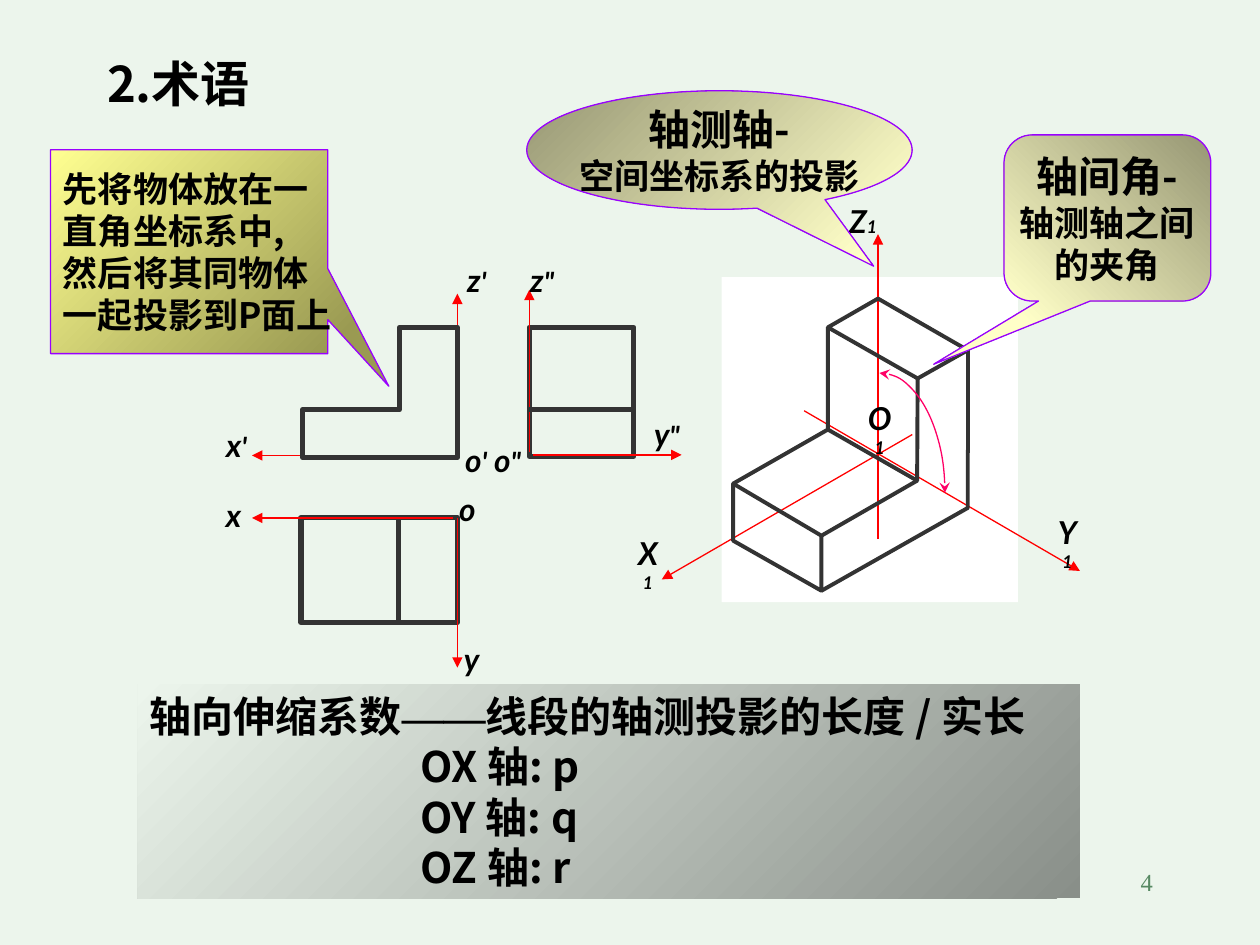
from dataclasses import dataclass

from lxml import etree
from pptx import Presentation
from pptx.dml.color import RGBColor
from pptx.enum.shapes import MSO_CONNECTOR, MSO_SHAPE as Shape
from pptx.enum.text import MSO_ANCHOR as Anchor, PP_ALIGN as Align
from pptx.oxml.ns import qn
from pptx.util import Cm, Pt


@dataclass(frozen=True)
class Theme:
    background: str = "ECF5EC"
    white: str = "FFFFFF"
    text: str = "000000"
    edge: str = "333333"
    axis: str = "FF0000"
    angle: str = "FF0066"
    callout: str = "9900FF"
    number: str = "578963"
    cjk: str = "Noto Sans CJK SC"
    label: str = "Lato"
    serif: str = "Times New Roman"
    title_size: int = 28
    head_size: int = 24
    body_size: int = 20
    label_size: int = 18
    mark_size: int = 16
    number_size: int = 14
    index_size: int = 10


theme = Theme()


def write(shape, lines, align=Align.LEFT, wrap=False, anchor=Anchor.MIDDLE,
          color=theme.text, bold=True, italic=False, leading=None):
    """Fill a shape with lines, each a list of (text, size, font) runs."""
    frame = shape.text_frame
    frame.word_wrap = wrap
    frame.vertical_anchor = anchor
    frame.text = "\n".join("".join(text for text, _, _ in line) for line in lines)
    for paragraph, line in zip(frame.paragraphs, lines):
        paragraph.text = ""
        paragraph.alignment = align
        if leading:
            paragraph.line_spacing = Pt(max(size for _, size, _ in line) * leading)
        for text, size, font in line:
            run = paragraph.add_run()
            run.text = text
            run.font.size = Pt(size)
            run.font.name = font
            run.font.bold = bold
            run.font.italic = italic
            run.font.color.rgb = RGBColor.from_string(color)
            etree.SubElement(run.font._element, qn("a:ea"), typeface=font)


def draw_line(shape, color, width, **ends):
    """Style an outline without shadow; ends maps headEnd/tailEnd to arrow types."""
    shape.line.color.rgb = RGBColor.from_string(color)
    shape.line.width = Pt(width)
    for end, kind in ends.items():
        etree.SubElement(shape.line._get_or_add_ln(), qn(f"a:{end}"), type=kind)
    if hasattr(shape, "shadow"):
        shape.shadow.inherit = False
    else:
        etree.SubElement(shape._element.spPr, qn("a:effectLst"))


presentation = Presentation()
presentation.slide_width, presentation.slide_height = Cm(25.4), Cm(19.05)
slide = presentation.slides.add_slide(presentation.slide_layouts[6])
slide.background.fill.solid()
slide.background.fill.fore_color.rgb = RGBColor.from_string(theme.background)
shapes = slide.shapes

# Title and slide number
title = shapes.add_textbox(Cm(1.91), Cm(0.94), Cm(5.21), Cm(1.45))
write(title, [[("2.术语", theme.title_size, theme.cjk)]], wrap=True)
number = shapes.add_textbox(Cm(18.21), Cm(17.35), Cm(5.28), Cm(1.27))
write(number, [[("4", theme.number_size, theme.serif)]], Align.RIGHT, True,
      Anchor.TOP, theme.number, bold=False)

# White ground of the axonometric view
ground = shapes.add_shape(Shape.RECTANGLE, Cm(14.55), Cm(5.59), Cm(5.97), Cm(6.55))
ground.shadow.inherit = False
ground.fill.solid()
ground.fill.fore_color.rgb = RGBColor.from_string(theme.white)
ground.line.fill.background()

# Views in the three planes
for left, top, width, height in [(6.07, 10.44, 3.15, 2.11), (10.67, 6.6, 2.11, 2.6)]:
    view = shapes.add_shape(Shape.RECTANGLE, Cm(left), Cm(top), Cm(width), Cm(height))
    view.fill.background()
    draw_line(view, theme.edge, 3)

# Corners of the solid
A, B, C, D = (16.69, 6.6), (17.7, 6.02), (19.51, 7.06), (18.5, 7.63)
E, F, G, H = (16.69, 8.66), (18.49, 9.69), (14.78, 9.75), (16.56, 10.8)
I, J, K = (14.78, 10.9), (16.56, 11.91), (19.51, 10.24)

arrow = {"tailEnd": "triangle"}
lines = [(start, end, theme.axis, 0.75, arrow) for start, end in [
    ((9.17, 9.18), (5.08, 9.18)), ((9.22, 9.19), (9.22, 5.92)),
    ((9.14, 10.44), (5.08, 10.44)), ((9.22, 10.44), (9.22, 13.46)),
    ((10.67, 9.12), (10.67, 5.84)), ((10.74, 9.17), (13.74, 9.17)),
    ((17.7, 10.87), (17.7, 4.72)), ((18.39, 8.76), (13.34, 11.68)),
    ((16.21, 8.28), (21.77, 11.51))]]
lines += [
    ((8.03, 10.49), (8.03, 12.57), theme.edge, 3, {}),
    ((10.67, 8.26), (12.78, 8.26), theme.edge, 3, {}),
    (E, F, theme.edge, 0.25, {}),
    (C, (19.51, 9.14), theme.edge, 2.25, {}),
]
for start, end, color, width, ends in lines:
    points = [Cm(value) for value in start + end]
    line = shapes.add_connector(MSO_CONNECTOR.STRAIGHT, *points)
    draw_line(line, color, width, **ends)

front_view = [(9.22, 9.22), (6.1, 9.22), (6.1, 8.26), (8.05, 8.26), (8.05, 6.6), (9.22, 6.6)]
outlines = [
    (front_view, True, 3),
    ([A, B, C, D], True, 2.25),
    ([A, E, F, D], False, 2.25),
    ([E, G, H, F], False, 2.25),
    ([G, I, J, H], False, 2.25),
    ([J, K, (19.51, 9.07)], False, 2.25),
]
for corners, closed, width in outlines:
    first, *others = [(Cm(x), Cm(y)) for x, y in corners]
    builder = shapes.build_freeform(*first)
    builder.add_line_segments(others, close=closed)
    outline = builder.convert_to_shape()
    outline.fill.background()
    draw_line(outline, theme.edge, width)

# Angle between the axes
arc = shapes.add_shape(Shape.ARC, Cm(16.41), Cm(7.52), Cm(2.64), Cm(4.83))
arc.fill.background()
draw_line(arc, theme.angle, 0.75, headEnd="stealth", tailEnd="stealth")

# Axis labels: letters are large, primes and indices small
sizes = {"'": theme.mark_size, '"': theme.mark_size, "1": theme.index_size}
labels = [
    ("o", 8.99, 9.75, 0.86, Align.CENTER, False),
    ("x'", 4.11, 8.46, 1.32, Align.CENTER, True),
    ("x", 4.29, 9.88, 0.84, Align.CENTER, False),
    ("z'\tz\"", 9.17, 5.13, 2.41, Align.LEFT, True),
    ("y\"", 12.9, 8.23, 1.09, Align.CENTER, False),
    ("y", 9.09, 12.78, 0.84, Align.CENTER, False),
    ("o' o\"", 9.04, 8.76, 1.8, Align.CENTER, False),
    ("O1", 17.15, 8.13, 1.17, Align.CENTER, True),
    ("X1", 12.52, 10.85, 1.09, Align.CENTER, True),
    ("Y1", 21.01, 10.43, 1.02, Align.CENTER, True),
    ("Z1", 16.87, 3.94, 1.32, Align.LEFT, False),
]
for text, left, top, width, align, wrap in labels:
    label = shapes.add_textbox(Cm(left), Cm(top), Cm(width), Cm(1.02))
    runs = [(letter, sizes.get(letter, theme.label_size), theme.label) for letter in text]
    if "\t" in text:
        properties = label.text_frame.paragraphs[0]._p.get_or_add_pPr()
        stops = etree.SubElement(properties, qn("a:tabLst"))
        etree.SubElement(stops, qn("a:tab"), pos=str(Cm(0.64)), algn="l")
    write(label, [runs], align, wrap, italic=True)

# Callouts and the band with the coefficients
head, body = theme.head_size, theme.body_size
panels = [
    (Shape.RECTANGULAR_CALLOUT, (1.02, 3.02, 5.59, 4.11), (0.72, 0.66),
     ("9A9A52", "FFFF91"), 135, Align.LEFT,
     [("先将物体放在一", body), ("直角坐标系中,", body),
      ("然后将其同物体", body), ("一起投影到P面上", body)]),
    (Shape.ROUNDED_RECTANGULAR_CALLOUT, (20.24, 2.72, 4.17, 3.35), (-0.84, 0.88, 0.17),
     ("979774", "FFFFC8"), 225, Align.CENTER,
     [("轴间角-", head), ("轴测轴之间", body), ("的夹角", body)]),
    (Shape.OVAL_CALLOUT, (10.62, 1.83, 7.77, 2.39), (0.4, 0.98),
     ("979774", "FFFFC8"), 315, Align.CENTER,
     [("轴测轴-", head), ("空间坐标系的投影", body)]),
    (Shape.RECTANGLE, (2.77, 13.79, 19, 4.32), (),
     ("898F89", theme.background), 135, Align.LEFT,
     [("轴向伸缩系数——线段的轴测投影的长度 / 实长", head),
      ("OX 轴: p", head), ("OY 轴: q", head), ("OZ 轴: r", head)]),
]
for kind, box, adjustments, colors, angle, align, texts in panels:
    panel = shapes.add_shape(kind, *[Cm(value) for value in box])
    for index, value in enumerate(adjustments):
        panel.adjustments[index] = value
    panel.fill.gradient()
    panel.fill.gradient_angle = angle
    for stop, color in zip(panel.fill.gradient_stops, colors):
        stop.color.rgb = RGBColor.from_string(color)
    draw_line(panel, theme.callout, 0.75)
    rows = []
    for text, size in texts:
        before, dash, after = text.partition("——")
        parts = [(before, theme.cjk), (dash, theme.serif), (after, theme.cjk)]
        rows.append([(part, size, font) for part, font in parts if part])
    write(panel, rows, align, leading=1.2)

band = panel
band.line.fill.background()
band.text_frame.word_wrap = True
for paragraph in band.text_frame.paragraphs[1:]:
    paragraph._p.get_or_add_pPr().set("marL", str(Cm(5.46)))

presentation.save("out.pptx")
